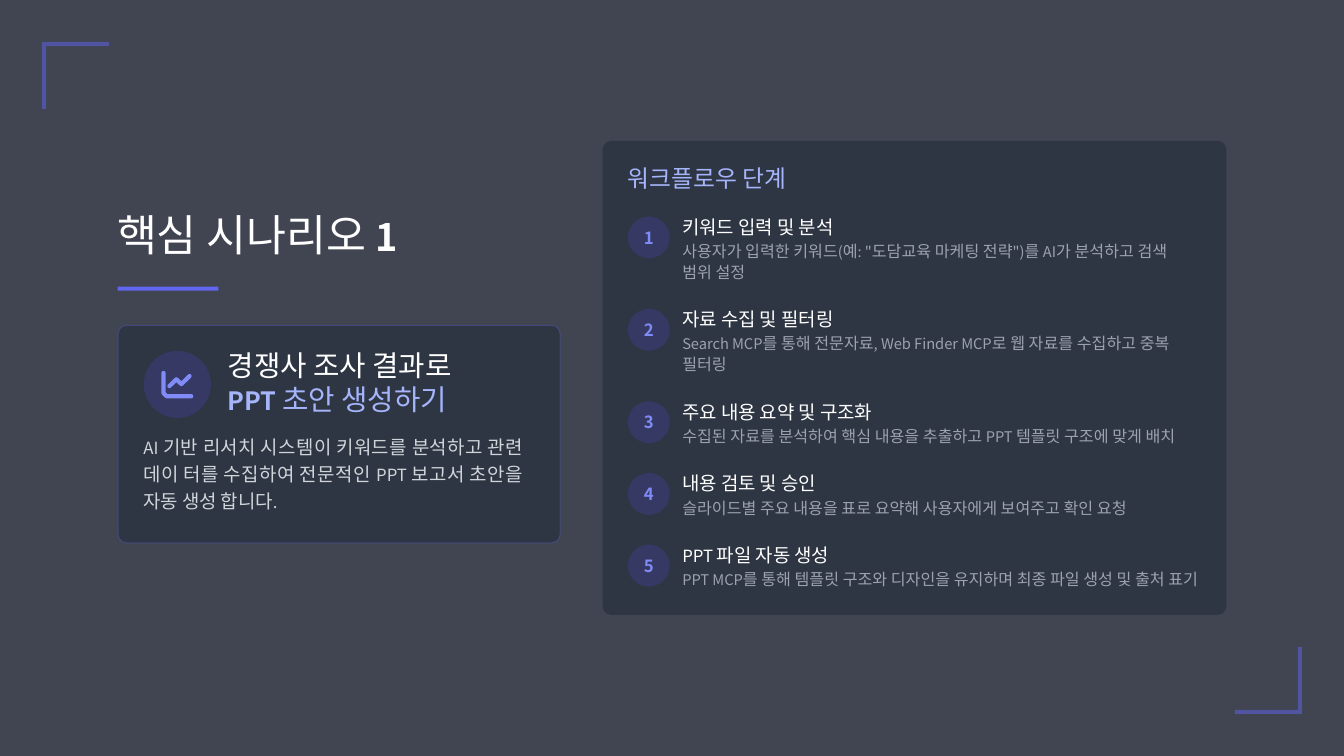
from pptx import Presentation
from pptx import util as u
from pptx.dml.color import RGBColor
from pptx.enum import shapes, text
from pptx.oxml.ns import qn
from lxml import etree

Pt = u.Pt
FONT = "Noto Sans CJK KR"
COLORS = {
    "back": "414551", "panel": "1F2937", "accent": "6266F1", "disc": "4E45E4",
    "icon": "818BF7", "soft": "A5B4FB", "white": "FFFFFF", "body": "D0D5DA",
    "muted": "9CA2AF",
}

# Content: "|" switches between Korean and Latin, which have their own sizes
TITLE = "핵심 시나리오 |1"
CARD_HEADING = [("경쟁사 조사 결과로", "white"), ("|PPT |초안 생성하기", "soft")]
CARD_BODY = ("|AI |기반 리서치 시스템이 키워드를 분석하고 관련 데이 터를 수집하여 전문적인 "
             "|PPT |보고서 초안을 자동 생성 합니다|.")
PANEL_HEADING = "워크플로우 단계"
STEPS = [  # heading, description, lines of description
    ("키워드 입력 및 분석",
     "사용자가 입력한 키워드|(|예|: \"|도담교육 마케팅 전략|\")|를 |AI|가 분석하고 검색 범위 설정", 2),
    ("자료 수집 및 필터링",
     "|Search MCP|를 통해 전문자료|, Web Finder MCP|로 웹 자료를 수집하고 중복 필터링", 2),
    ("주요 내용 요약 및 구조화",
     "수집된 자료를 분석하여 핵심 내용을 추출하고 |PPT |템플릿 구조에 맞게 배치", 1),
    ("내용 검토 및 승인",
     "슬라이드별 주요 내용을 표로 요약해 사용자에게 보여주고 확인 요청", 1),
    ("|PPT |파일 자동 생성",
     "|PPT MCP|를 통해 템플릿 구조와 디자인을 유지하며 최종 파일 생성 및 출처 표기", 1),
]
STEP_WIDTH = {1: 384, 2: 366}
STEP_PITCH = {1: 51.2, 2: 66}

# Geometry
WIDTH, HEIGHT = 960, 540
CORNER = [(30, 30), (78, 30), (78, 33), (33, 33), (33, 78), (30, 78)]
CHART_ICON = [
    [(116.8, 266.4), (116.8, 280.8), (119, 283), (136.6, 283)],
    [(121, 275.8), (126, 271), (129.6, 274.4), (135.4, 268.6)],
]

deck = Presentation()
deck.slide_width, deck.slide_height = Pt(WIDTH), Pt(HEIGHT)
page = deck.slides.add_slide(deck.slide_layouts[5])


def rgb(name):
    return RGBColor.from_string(COLORS[name])


def paint(fill, name, opacity=100):
    fill.solid()
    fill.fore_color.rgb = rgb(name)
    if opacity < 100:
        color = fill._xPr.find(qn("a:solidFill"))[0]
        etree.SubElement(color, qn("a:alpha")).set("val", str(opacity * 1000))


def add_block(kind, left, top, width, height, color, opacity=100):
    block = page.shapes.add_shape(kind, Pt(left), Pt(top), Pt(width), Pt(height))
    block.shadow.inherit = False
    paint(block.fill, color, opacity)
    block.line.fill.background()
    return block


def add_card(left, top, width, height):
    card = add_block(shapes.MSO_SHAPE.ROUNDED_RECTANGLE, left, top, width, height, "panel", 50)
    card.adjustments[0] = 6 / min(width, height)
    return card


def add_outline(points, close):
    (x, y), *rest = [(Pt(a), Pt(b)) for a, b in points]
    builder = page.shapes.build_freeform(x, y, scale=1.0)
    builder.add_line_segments(rest, close=close)
    outline = builder.convert_to_shape()
    outline.shadow.inherit = False
    return outline


def set_frame(frame, inset_top=0):
    frame.word_wrap = True
    frame.auto_size = text.MSO_AUTO_SIZE.NONE
    frame.vertical_anchor = text.MSO_ANCHOR.TOP
    frame.margin_left = frame.margin_right = frame.margin_bottom = 0
    frame.margin_top = Pt(inset_top)


def add_text(left, top, width, height, inset_top=0):
    box = page.shapes.add_textbox(Pt(left), Pt(top), Pt(width), Pt(height))
    set_frame(box.text_frame, inset_top)
    return box.text_frame


def write(para, words, korean, latin, color, before=0, spacing=None, latin_bold=False):
    para.space_before = Pt(before)
    para.alignment = text.PP_ALIGN.LEFT
    if spacing:
        para.line_spacing = spacing
    for index, part in enumerate(words.split("|")):
        if not part:
            continue
        is_latin = index % 2 == 1
        span = para.add_run()
        span.text = part
        span.font.name = FONT
        span.font.size = Pt(latin if is_latin else korean)
        span.font.bold = is_latin and latin_bold
        span.font.color.rgb = rgb(color)
        etree.SubElement(span.font._element, qn("a:ea")).set("typeface", FONT)


def add_disc(left, top, size):
    return add_block(shapes.MSO_SHAPE.OVAL, left, top, size, size, "disc", 20)


# Background and corner brackets
paint(page.background.fill, "back")
for points in (CORNER, [(WIDTH - x, HEIGHT - y) for x, y in CORNER]):
    bracket = add_outline(points, True)
    paint(bracket.fill, "accent", 50)
    bracket.line.fill.background()

# Title and its rule
title = page.shapes.title
title.left, title.top, title.width, title.height = Pt(83.6), Pt(131.8), Pt(265), Pt(54.7)
set_frame(title.text_frame, 16.6)
write(title.text_frame.paragraphs[0], TITLE, 31, 27, "white", 0.9, latin_bold=True)
add_block(shapes.MSO_SHAPE.RECTANGLE, 84, 204.7, 72, 3, "accent")

# Scenario card
card = add_card(84.4, 232.4, 315.7, 155.3)
card.line.width = Pt(0.75)
paint(card.line.fill, "accent", 30)
add_disc(102.7, 250.6, 48)
for points in CHART_ICON:
    stroke = add_outline(points, False)
    stroke.fill.background()
    stroke.line.width = Pt(3)
    stroke.line.color.rgb = rgb("icon")
    stroke.line._ln.set("cap", "rnd")
frame = add_text(101.5, 247, 272, 118, 1.4)
for index, (words, color) in enumerate(CARD_HEADING):
    para = frame.add_paragraph() if index else frame.paragraphs[0]
    write(para, words, 20.5, 18, color, 0 if index else 1.1, Pt(24.3), True)
    para._p.get_or_add_pPr().set("marL", str(Pt(61.2)))
para = frame.add_paragraph()
write(para, CARD_BODY, 13.5, 12, "body", 10.6, 1.2)
para.alignment = text.PP_ALIGN.JUSTIFY
para._p.get_or_add_pPr().set("marL", str(Pt(0.9)))

# Workflow panel
add_card(430.5, 100.6, 445.5, 338.6)
frame = add_text(448.5, 116.6, 158, 21.6, 0.7)
write(frame.paragraphs[0], PANEL_HEADING, 17, 17, "soft", 0.9)
top = 154.6
for number, (heading, description, lines) in enumerate(STEPS, 1):
    disc = add_disc(448.5, top, 30)
    set_frame(disc.text_frame)
    disc.text_frame.vertical_anchor = text.MSO_ANCHOR.MIDDLE
    para = disc.text_frame.paragraphs[0]
    write(para, f"|{number}", 12, 12, "icon", latin_bold=True)
    para.alignment = text.PP_ALIGN.CENTER
    frame = add_text(487.4, top - 4.2, STEP_WIDTH[lines], 20 + 15 * lines, 3.6)
    write(frame.paragraphs[0], heading, 13.5, 12, "white", 3.2)
    write(frame.add_paragraph(), description, 11.5, 10.5, "muted", 1.1, 1.09)
    top += STEP_PITCH[lines]

deck.save("out.pptx")
